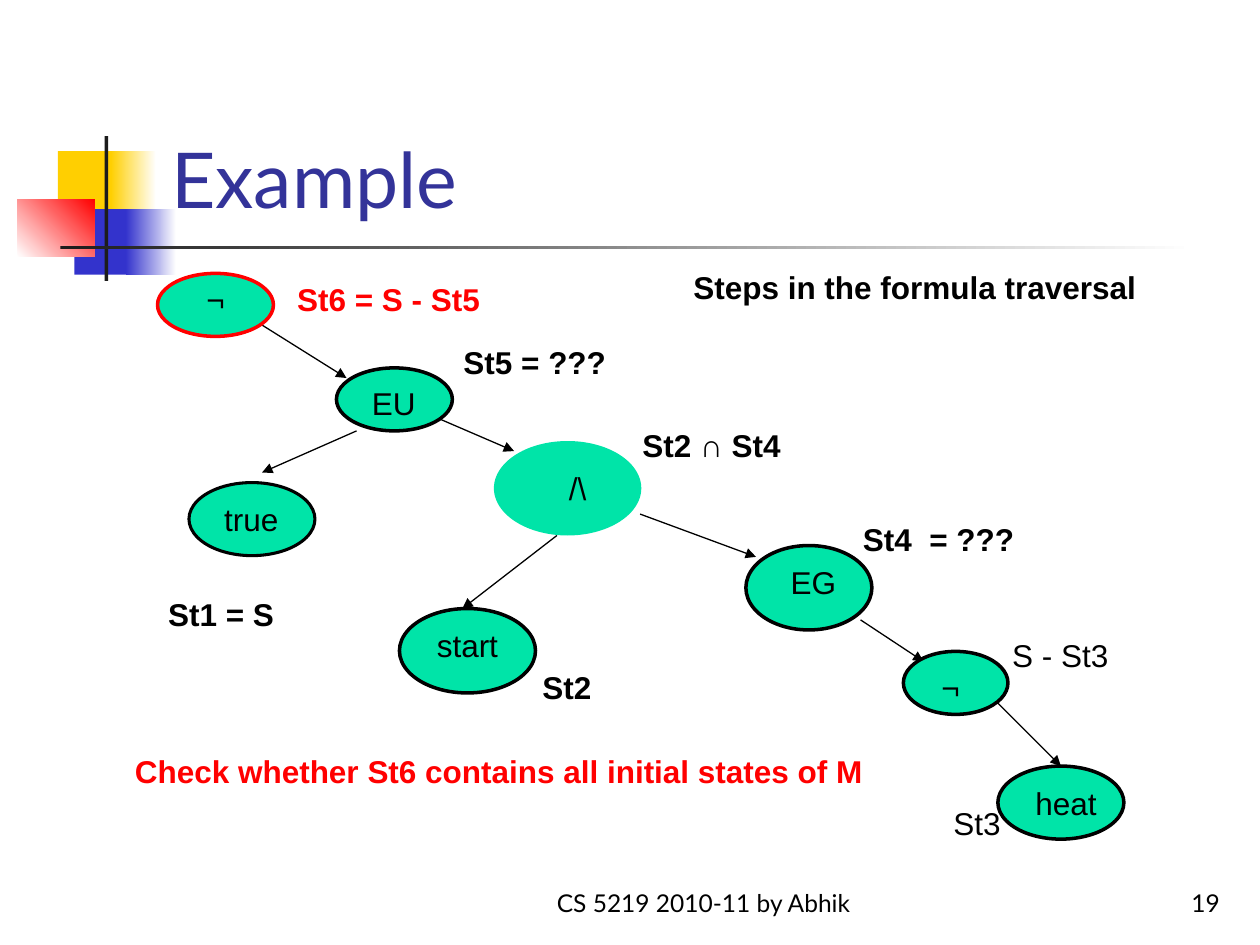
import pptx
import pptx.dml.color
import pptx.enum.shapes
import pptx.enum.text
import pptx.oxml
import pptx.util

Inches = pptx.util.Inches
Pt = pptx.util.Pt
RGBColor = pptx.dml.color.RGBColor
Shapes = pptx.enum.shapes.MSO_SHAPE
Align = pptx.enum.text.PP_ALIGN
Anchor = pptx.enum.text.MSO_ANCHOR

BLACK = RGBColor(0x00, 0x00, 0x00)
WHITE = RGBColor(0xFF, 0xFF, 0xFF)
RED = RGBColor(0xFF, 0x00, 0x00)
YELLOW = RGBColor(0xFF, 0xCF, 0x01)
BLUE = RGBColor(0x33, 0x33, 0xCC)
CHARCOAL = RGBColor(0x1C, 0x1C, 0x1C)
INDIGO = RGBColor(0x33, 0x33, 0x99)
GREEN = RGBColor(0x00, 0xE4, 0xA8)

DECORATION = [
    ((0.46, 1.2, 0.48, 0.52), (YELLOW,), 0),
    ((0.88, 1.2, 0.36, 0.52), (YELLOW, WHITE), 0),
    ((0.59, 1.66, 0.46, 0.52), (BLUE,), 0),
    ((1, 1.66, 0.4, 0.52), (BLUE, WHITE), 0),
    ((0.14, 1.58, 0.61, 0.46), (WHITE, RED), 45),
    ((0.83, 1.08, 0.03, 1.15), (CHARCOAL,), 0),
    ((0.48, 1.95, 9, 0.03), (CHARCOAL, WHITE), 0),
]

ARROWS = [
    ((2.08, 2.58), (2.75, 3)),
    ((2.83, 3.42), (2.08, 3.75)),
    ((3.5, 3.33), (4.08, 3.58)),
    ((4.42, 4.25), (3.67, 4.83)),
    ((5.08, 4.08), (6, 4.42)),
    ((6.83, 4.92), (7.33, 5.25)),
]

NODES = [
    ("¬", (1.25, 2.17, 0.92, 0.5), (1.42, 2.17, 0.58), RED, 2),
    ("EU", (2.67, 2.92, 0.92, 0.5), (2.75, 3, 0.75), BLACK, 2),
    ("true", (1.5, 3.83, 1, 0.58), (1.58, 3.92, 0.83), BLACK, 1.75),
    ("/\\", (3.92, 3.5, 1.17, 0.75), (4.17, 3.67, 0.83), None, 0),
    ("start", (3.17, 4.83, 1.08, 0.67), (3.25, 4.92, 0.92), BLACK, 2),
    ("EG", (5.92, 4.33, 1, 0.67), (6.08, 4.42, 0.75), BLACK, 2),
    ("¬", (7.17, 5.17, 0.83, 0.5), (7.17, 5.25, 0.75), BLACK, 2),
    ("heat", (7.92, 6.08, 1, 0.58), (8, 6.17, 0.92), BLACK, 2),
]

NOTES = [
    ("Steps in the formula traversal ", (3.42, 2.08, 7.75), Align.CENTER, BLACK, True),
    ("St1 = S", (1.17, 4.67, 1.17), Align.CENTER, BLACK, True),
    ("St2", (4, 5.25, 1), Align.CENTER, BLACK, True),
    ("St3", (7.17, 6.33, 1.17), Align.CENTER, BLACK, False),
    ("S - St3", (7.5, 5, 1.83), Align.CENTER, BLACK, False),
    ("St4  = ???", (6.75, 4.08, 2.83), Align.LEFT, BLACK, True),
    ("St2 ∩ St4", (5, 3.33, 2.08), Align.LEFT, BLACK, True),
    ("St5 = ???", (3.58, 2.67, 1.92), Align.LEFT, BLACK, True),
    ("St6 = S - St5", (2.25, 2.17, 1.67), Align.CENTER, RED, True),
    ("Check whether St6 contains all initial states of M", (0.75, 5.92, 6.42),
     Align.CENTER, RED, True),
]


class TraversalSlide:
    """Draws the elements of a formula tree on one slide in a shared style."""

    body_font = "Arial"
    heading_font = "Lato"
    label_height = 0.4

    def __init__(self, slide):
        self.slide = slide

    def shape(self, kind, box, colors, angle=0):
        shape = self.slide.shapes.add_shape(kind, *map(Inches, box))
        shape.shadow.inherit = False
        shape.line.fill.background()
        if len(colors) == 1:
            shape.fill.solid()
            shape.fill.fore_color.rgb = colors[0]
        else:
            shape.fill.gradient()
            shape.fill.gradient_angle = angle
            for stop, color in zip(shape.fill.gradient_stops, colors):
                stop.color.rgb = color
        return shape

    def text(self, words, box, align, color, size, font, bold=False, anchor=Anchor.TOP):
        frame = self.slide.shapes.add_textbox(*map(Inches, box)).text_frame
        frame.word_wrap = True
        frame.vertical_anchor = anchor
        paragraph = frame.paragraphs[0]
        paragraph.alignment = align
        run = paragraph.add_run()
        run.text = words
        run.font.name = font
        run.font.size = Pt(size)
        run.font.bold = bold
        run.font.color.rgb = color

    def heading(self, words, box, align, color=BLACK, size=14):
        self.text(words, box, align, color, size, self.heading_font, anchor=Anchor.BOTTOM)

    def label(self, words, place, align=Align.CENTER, color=BLACK, bold=False):
        box = (*place, self.label_height)
        self.text(words, box, align, color, 18, self.body_font, bold)

    def node(self, words, box, label_place, outline, width):
        ellipse = self.shape(Shapes.OVAL, box, (GREEN,))
        if outline is not None:
            ellipse.line.color.rgb = outline
            ellipse.line.width = Pt(width)
        self.label(words, label_place)
        return ellipse

    def arrow(self, start, end):
        connector = self.slide.shapes.add_connector(
            pptx.enum.shapes.MSO_CONNECTOR.STRAIGHT, *map(Inches, (*start, *end)))
        connector.line.color.rgb = BLACK
        connector.line.width = Pt(0.75)
        namespace = pptx.oxml.ns.nsdecls("a")
        line = connector.line._get_or_add_ln()
        line.append(pptx.oxml.parse_xml(f'<a:tailEnd {namespace} type="triangle"/>'))
        connector._element.spPr.append(pptx.oxml.parse_xml(f"<a:effectLst {namespace}/>"))
        return connector


def main():
    presentation = pptx.Presentation()
    presentation.slide_width = Inches(10)
    presentation.slide_height = Inches(7.5)
    page = TraversalSlide(presentation.slides.add_slide(presentation.slide_layouts[6]))

    for box, colors, angle in DECORATION:
        page.shape(Shapes.RECTANGLE, box, colors, angle)
    page.heading("CS 5219 2010-11 by Abhik", (4, 6.83, 3.17, 0.5), Align.CENTER)
    page.heading("19", (7.7, 6.83, 2.08, 0.5), Align.RIGHT)
    page.heading("Example", (1.26, 0.23, 8.52, 1.6), Align.LEFT, INDIGO, 44)

    for start, end in ARROWS:
        page.arrow(start, end)
    ellipses = [page.node(*node) for node in NODES]
    page.arrow((7.92, 5.58), (8.42, 6.08)).end_connect(ellipses[-1], 0)
    for note in NOTES:
        page.label(*note)

    presentation.save("out.pptx")


if __name__ == "__main__":
    main()
